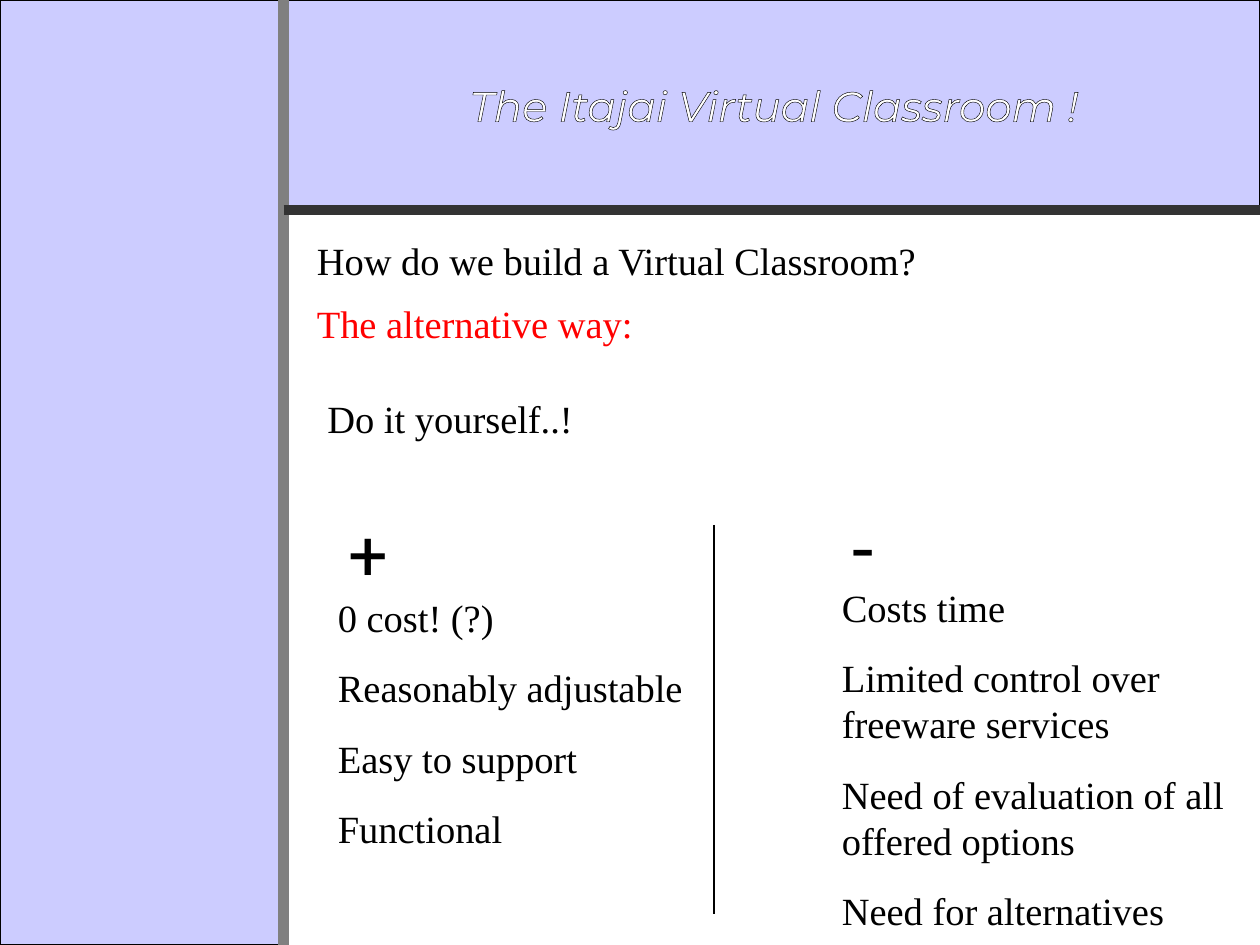
from lxml.etree import SubElement
from pptx import Presentation
from pptx.dml.color import RGBColor
from pptx.enum.shapes import MSO_CONNECTOR as Connector, MSO_SHAPE as Shape
from pptx.enum.text import MSO_AUTO_SIZE as AutoSize, PP_ALIGN as Align
from pptx.oxml import parse_xml
from pptx.oxml.ns import nsdecls, qn
from pptx.util import Emu, Pt

PX = 914400 // 120
COLORS = {
    "panel": "CCCCFF",
    "black": "000000",
    "gray": "808080",
    "dark": "333333",
    "red": "FF0000",
    "white": "FFFFFF",
}
ADVANTAGES = ["0 cost! (?)", "Reasonably adjustable", "Easy to support", "Functional"]
DRAWBACKS = [
    "Costs time",
    "Limited control over freeware services",
    "Need of evaluation of all offered options",
    "Need for alternatives",
]


def px(*lengths):
    return [Emu(length * PX) for length in lengths]


def rgb(name):
    return RGBColor.from_string(COLORS[name])


def add_panel(page, *place):
    panel = page.shapes.add_shape(Shape.RECTANGLE, *px(*place))
    panel.shadow.inherit = False
    panel.fill.solid()
    panel.fill.fore_color.rgb = rgb("panel")
    panel.line.color.rgb = rgb("black")
    panel.line.width = Pt(0.75)


def add_rule(page, *ends, color="black", width=0.75):
    rule = page.shapes.add_connector(Connector.STRAIGHT, *px(*ends))
    rule.line.color.rgb = rgb(color)
    rule.line.width = Pt(width)
    SubElement(rule._element.spPr, qn("a:effectLst"))


def outline_text(span, color):
    span.font._element.insert(0, parse_xml(
        f'<a:ln {nsdecls("a")} w="{Pt(0.75)}"><a:solidFill>'
        f'<a:srgbClr val="{COLORS[color]}"/></a:solidFill></a:ln>'))


def add_text(page, text, *place, size=22, font="Times New Roman", color="black",
             italic=None, outline=None, wrap=True, align=Align.LEFT):
    box = page.shapes.add_textbox(*px(*place))
    frame = box.text_frame
    frame.word_wrap = wrap
    frame.auto_size = AutoSize.SHAPE_TO_FIT_TEXT if wrap else AutoSize.NONE
    frame.text = text
    for index, para in enumerate(frame.paragraphs):
        para.alignment = align
        if index:
            para.space_before = Pt(13.8)
        for span in para.runs:
            span.font.size = Pt(size)
            span.font.name = font
            span.font.italic = italic
            span.font.color.rgb = rgb(color)
            if outline:
                outline_text(span, outline)


def main():
    deck = Presentation()
    deck.slide_width, deck.slide_height = px(1200, 900)
    page = deck.slides.add_slide(deck.slide_layouts[6])

    add_panel(page, 0, 0, 270, 900)
    add_panel(page, 270, 0, 930, 200)
    add_rule(page, 270, 900, 270, 0, color="gray", width=6)
    add_rule(page, 270, 200, 1200, 200, color="dark", width=6)

    add_text(page, "How do we build a Virtual Classroom?", 290, 220, 800, 56)
    add_text(page, "The alternative way:", 290, 280, 650, 56, color="red")
    add_text(page, "Do it yourself..!", 300, 370, 670, 56)

    add_text(page, "\n".join(DRAWBACKS), 790, 550, 410, 344)
    add_text(page, "-", 800, 470, 150, 101, size=44, font="Roboto")
    add_text(page, "\n".join(ADVANTAGES), 310, 560, 370, 257)
    add_text(page, "+", 320, 480, 190, 92, size=40, font="Roboto")
    add_rule(page, 680, 500, 680, 870)

    add_text(page, "The Itajai Virtual Classroom !", 320, 70, 834, 90, size=24,
             font="Montserrat", color="white", italic=True, outline="black",
             wrap=False, align=Align.CENTER)

    deck.save("out.pptx")


if __name__ == "__main__":
    main()
